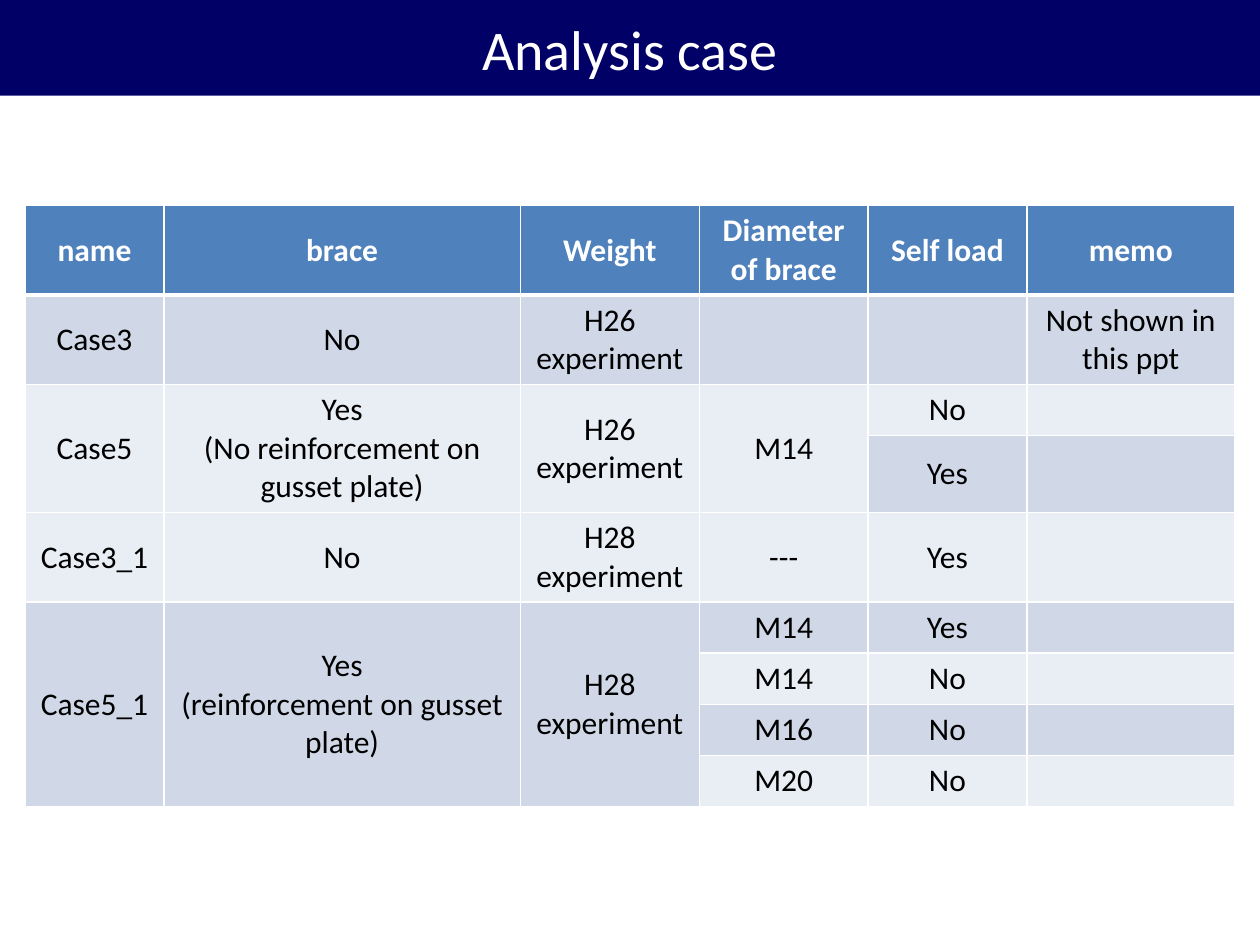
import pptx
import pptx.util
import pptx.dml.color
import pptx.enum.text
import pptx.oxml
import pptx.oxml.ns

Pt = pptx.util.Pt
COLORS = {
    "title_bar": "000066",
    "header": "4F81BD",
    "odd_row": "D0D8E8",
    "even_row": "E9EDF4",
    "white": "FFFFFF",
    "text": "000000",
}
COLUMN_WIDTHS = [79.2, 203.8, 102.2, 96.5, 90.7, 118.8]
ROW_HEIGHT = 29.2

# None continues the cell above; a line break starts a new paragraph.
CASES = [
    ["name", "brace", "Weight", "Diameter of brace", "Self load", "memo"],
    ["Case3", "No", "H26 experiment", "", "", "Not shown in this ppt"],
    ["Case5", "Yes\n(No reinforcement on gusset plate)", "H26 experiment",
     "M14", "No", ""],
    [None, None, None, None, "Yes", ""],
    ["Case3_1", "No", "H28 experiment", "---", "Yes", ""],
    ["Case5_1", "Yes\n(reinforcement on gusset plate)", "H28 experiment",
     "M14", "Yes", ""],
    [None, None, None, "M14", "No", ""],
    [None, None, None, "M16", "No", ""],
    [None, None, None, "M20", "No", ""],
]


class SlideBuilder:
    """Holds the text style and the slide being filled."""

    def __init__(self, slide, font="Calibri"):
        self.slide = slide
        self.font = font

    def color(self, name):
        return pptx.dml.color.RGBColor.from_string(COLORS[name])

    def fill(self, target, color):
        target.fill.solid()
        target.fill.fore_color.rgb = self.color(color)

    def add_text(self, frame, text, size, color, bold=False):
        """Put each line of text in a centred paragraph."""
        for index, line in enumerate(text.split("\n")):
            paragraph = frame.add_paragraph() if index else frame.paragraphs[0]
            paragraph.alignment = pptx.enum.text.PP_ALIGN.CENTER
            if not line:
                continue
            run = paragraph.add_run()
            run.text = line
            run.font.name = self.font
            run.font.size = Pt(size)
            run.font.bold = bold
            run.font.color.rgb = self.color(color)

    def title(self, text, left, top, width, height):
        bar = self.slide.shapes.title
        bar.left, bar.top = Pt(left), Pt(top)
        bar.width, bar.height = Pt(width), Pt(height)
        self.fill(bar, "title_bar")
        bar.text_frame.vertical_anchor = pptx.enum.text.MSO_ANCHOR.MIDDLE
        self.add_text(bar.text_frame, text, 32, "white")

    def borders(self, cell, top, bottom):
        properties = cell._tc.get_or_add_tcPr()
        for side, width in (("L", 1), ("R", 1), ("T", top), ("B", bottom)):
            properties.append(pptx.oxml.parse_xml(
                f'<a:ln{side} {pptx.oxml.ns.nsdecls("a")} w="{Pt(width)}">'
                f'<a:solidFill><a:srgbClr val="{COLORS["white"]}"/></a:solidFill>'
                f'</a:ln{side}>'))

    def table(self, rows, left, top, height):
        frame = self.slide.shapes.add_table(
            len(rows), len(COLUMN_WIDTHS), Pt(left), Pt(top),
            Pt(sum(COLUMN_WIDTHS)), Pt(height))
        grid = frame.table
        for column, width in zip(grid.columns, COLUMN_WIDTHS):
            column.width = Pt(width)
        for row in grid.rows:
            row.height = Pt(ROW_HEIGHT)
        frame.height = Pt(height)
        for r, row in enumerate(rows):
            for c, text in enumerate(row):
                self.cell(grid.cell(r, c), r, text or "")
        self.merge_continued(grid, rows)

    def cell(self, cell, row, text):
        header = row == 0
        band = "header" if header else "odd_row" if row % 2 else "even_row"
        self.borders(cell, 3 if row == 1 else 1, 3 if header else 1)
        self.fill(cell, band)
        cell.vertical_anchor = pptx.enum.text.MSO_ANCHOR.MIDDLE
        self.add_text(cell.text_frame, text, 18, "white" if header else "text", header)

    def merge_continued(self, grid, rows):
        """Join every cell with the None entries below it."""
        for c, column in enumerate(zip(*rows)):
            for start in range(len(column)):
                end = start
                while end + 1 < len(column) and column[end + 1] is None:
                    end += 1
                if column[start] is not None and end > start:
                    grid.cell(start, c).merge(grid.cell(end, c))


def main():
    deck = pptx.Presentation()
    deck.slide_width, deck.slide_height = Pt(720), Pt(540)
    title_only = deck.slide_layouts[5]
    builder = SlideBuilder(deck.slides.add_slide(title_only))
    builder.title("Analysis case", 0, 0, 720, 54.7)
    builder.table(CASES, 14.4, 117.4, 340)
    deck.save("out.pptx")


if __name__ == "__main__":
    main()
